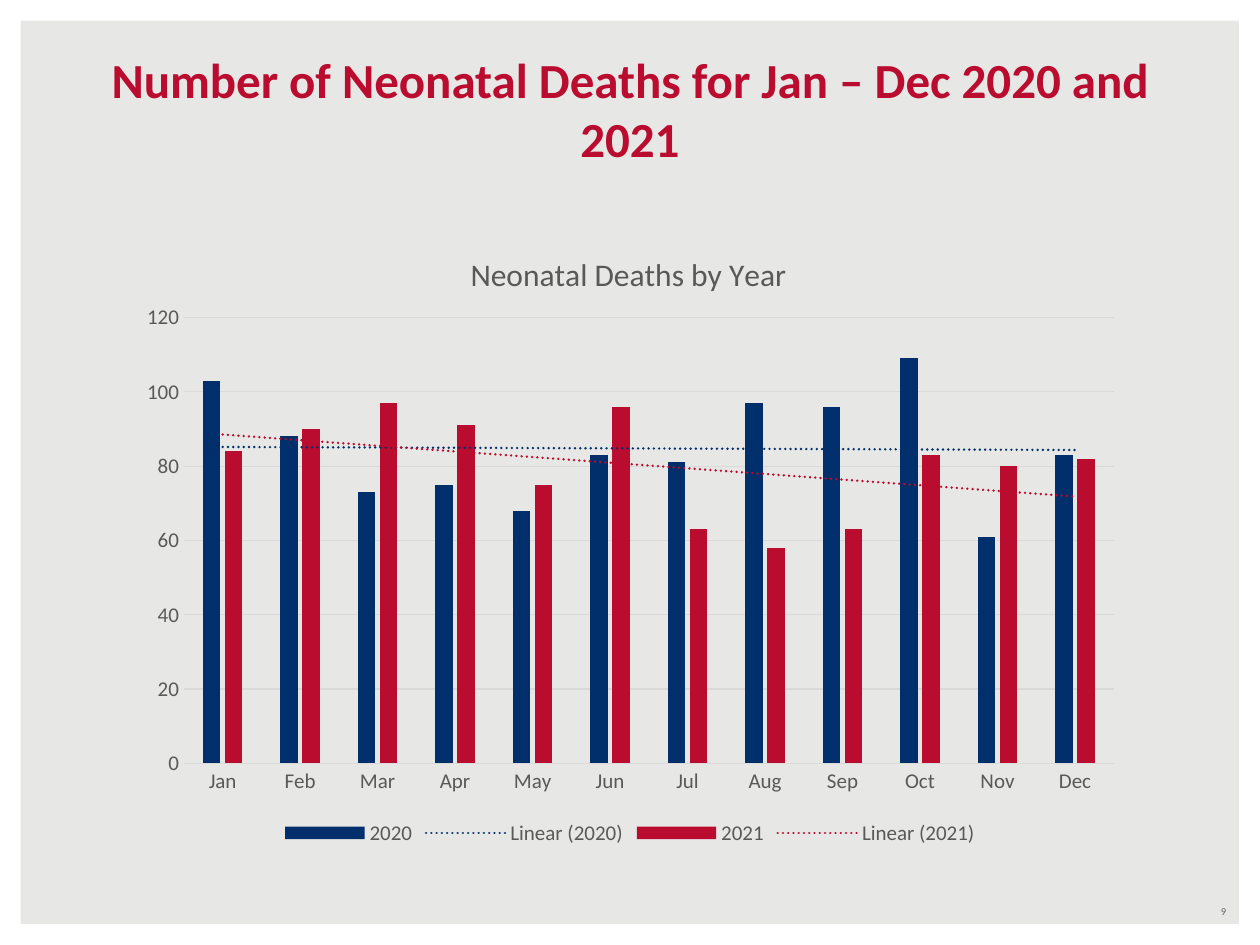
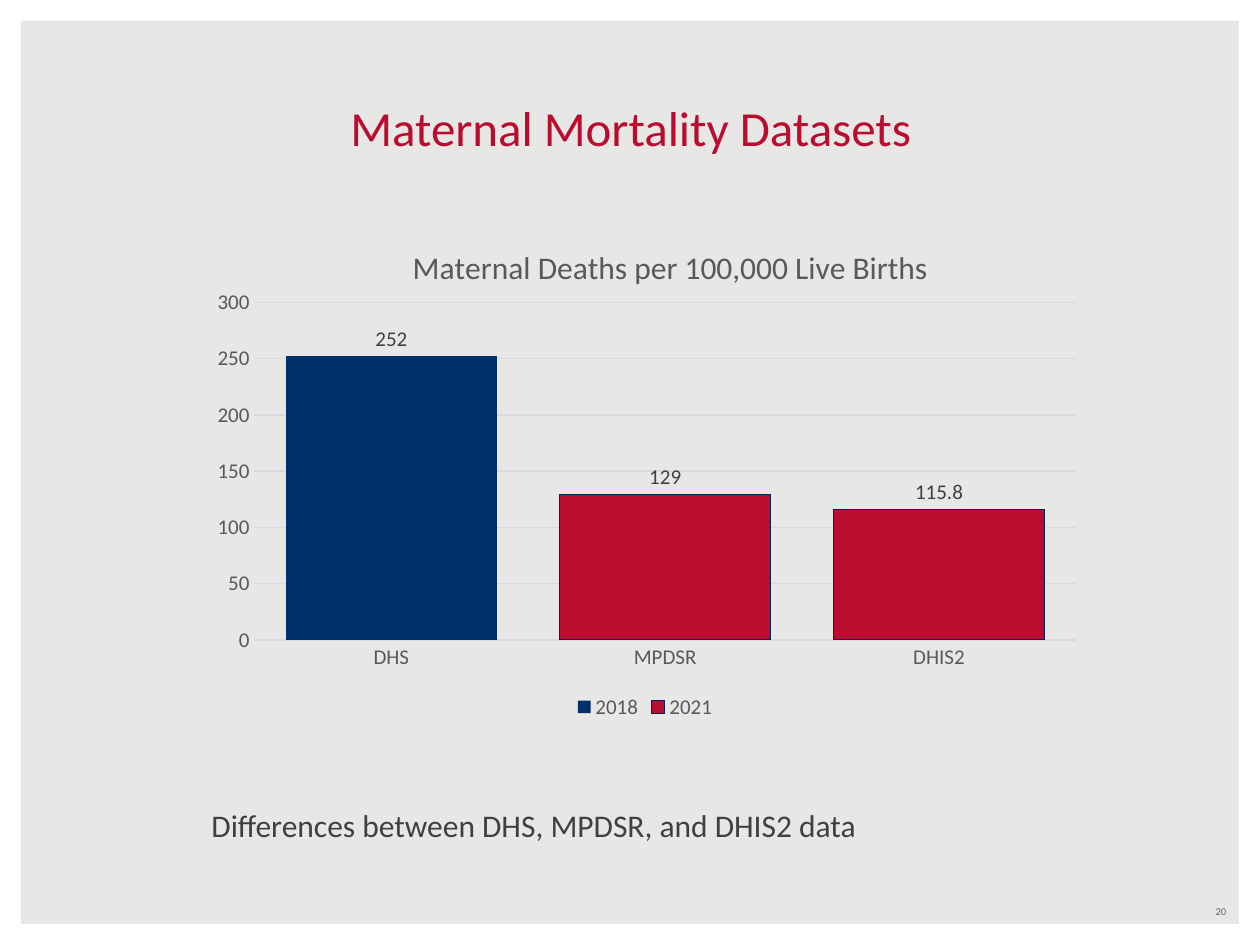
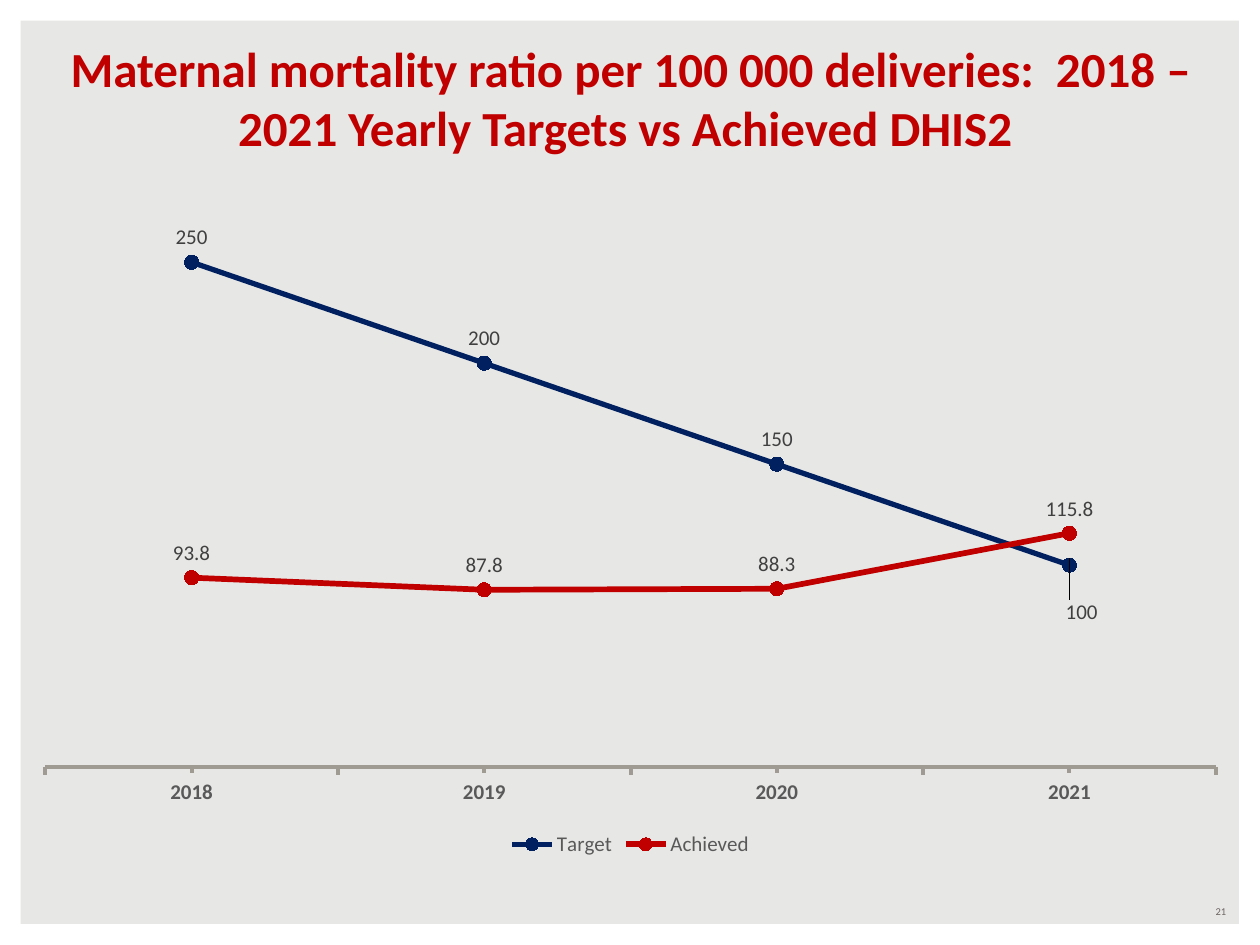
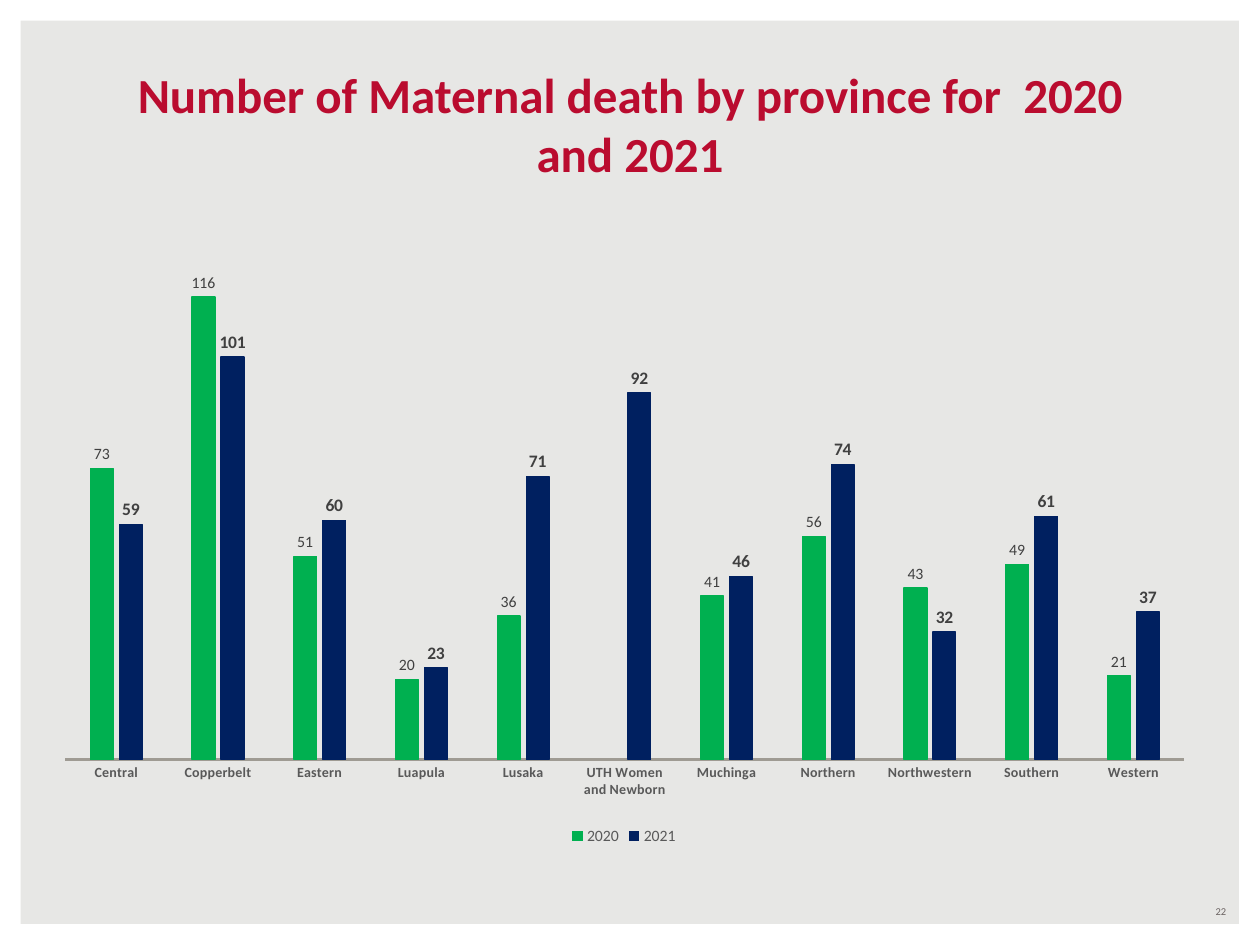
import pptx
import pptx.chart.data
import pptx.dml.color
import pptx.enum.chart
import pptx.enum.shapes
import pptx.enum.text
import pptx.oxml
import pptx.oxml.ns
import pptx.util

PX = 9144  # EMU per px, 100 px to the inch
WIDTH, HEIGHT = 1000, 750
FONT = "Calibri"
PAPER, WHITE, BLACK = "E7E7E5", "FFFFFF", "000000"
CRIMSON, RED = "BA0C2F", "C00000"
BLUE, NAVY, GREEN = "002F6C", "002060", "00B050"
INK, LABEL_GREY, FOOTER_GREY = "404040", "595959", "6C6463"
GRID_GREY, AXIS_GREY = "D9D9D9", "9F9B93"

Align = pptx.enum.text.PP_ALIGN
Anchor = pptx.enum.text.MSO_ANCHOR
ChartType = pptx.enum.chart.XL_CHART_TYPE
Tick = pptx.enum.chart.XL_TICK_MARK
LabelPosition = pptx.enum.chart.XL_LABEL_POSITION


def rgb(colour):
    return pptx.dml.color.RGBColor.from_string(colour)


def set_font(font, size, colour, bold=False):
    font.name, font.size, font.bold = FONT, pptx.util.Pt(size), bold
    font.color.rgb = rgb(colour)


def set_line(line, colour, width):
    line.color.rgb = rgb(colour)
    line.width = pptx.util.Pt(width)


def set_layout(parent, index, modes="", **fractions):
    """Give a chart part a manual layout as its child number index."""
    for former in parent.findall(pptx.oxml.ns.qn("c:layout")):
        parent.remove(former)
    numbers = "".join(f'<c:{name} val="{value:.4f}"/>' for name, value in fractions.items())
    parent.insert(index, pptx.oxml.parse_xml(
        f'<c:layout {pptx.oxml.ns.nsdecls("c")}><c:manualLayout>'
        f'{modes}{numbers}</c:manualLayout></c:layout>'))


class Deck:
    """Holds the shared style and the slide being built."""

    EDGE = '<c:xMode val="edge"/><c:yMode val="edge"/>'

    def __init__(self):
        self.prs = pptx.Presentation()
        self.prs.slide_width, self.prs.slide_height = WIDTH * PX, HEIGHT * PX
        self.layout = self.prs.slide_layouts[5]
        self.framed = False
        background = self.prs.slide_master.background.fill
        background.solid()
        background.fore_color.rgb = rgb(PAPER)

    def box(self, *lengths):
        return [length * PX for length in lengths]

    def add_frame(self):
        """Draw the white border once and move it to the master."""
        frame = self.slide.shapes.add_shape(
            pptx.enum.shapes.MSO_SHAPE.FRAME, *self.box(0, 0, WIDTH, HEIGHT))
        frame.adjustments[0] = 0.022
        frame.shadow.inherit = False
        frame.fill.solid()
        frame.fill.fore_color.rgb = rgb(WHITE)
        frame.line.fill.background()
        self.prs.slide_master.shapes.element.insert(2, frame.element)
        self.framed = True

    def start(self, number, heading, at, colour=CRIMSON, bold=True):
        self.slide = self.prs.slides.add_slide(self.layout)
        if not self.framed:
            self.add_frame()
        title = self.slide.shapes.title
        title.left, title.top, title.width, title.height = self.box(*at)
        self.fill_text(title, heading, 28, colour, bold, Align.CENTER, Anchor.BOTTOM)
        self.text((750, 713, 233, 20), str(number), 6, FOOTER_GREY, Align.RIGHT, Anchor.MIDDLE)

    def fill_text(self, holder, words, size, colour, bold, align, anchor):
        frame = holder.text_frame
        frame.text = words
        frame.word_wrap = True
        frame.auto_size = pptx.enum.text.MSO_AUTO_SIZE.SHAPE_TO_FIT_TEXT
        frame.vertical_anchor = anchor
        frame.paragraphs[0].alignment = align
        set_font(frame.paragraphs[0].runs[0].font, size, colour, bold)

    def text(self, at, words, size, colour, align=Align.LEFT, anchor=Anchor.TOP):
        holder = self.slide.shapes.add_textbox(*self.box(*at))
        self.fill_text(holder, words, size, colour, False, align, anchor)

    def chart(self, kind, at, plot_at, categories, values, maximum, legend_size=12):
        """Add a chart; plot_at is the inner plot area on the slide."""
        data = pptx.chart.data.CategoryChartData()
        data.categories = categories
        for name, numbers in values.items():
            data.add_series(name, numbers)
        chart = self.slide.shapes.add_chart(kind, *self.box(*at), data).chart
        set_font(chart.font, 10, BLACK)
        chart.has_title = False
        chart.has_legend = True
        chart.legend.position = pptx.enum.chart.XL_LEGEND_POSITION.BOTTOM
        chart.legend.include_in_layout = False
        set_font(chart.legend.font, legend_size, LABEL_GREY)
        chart.plots[0].vary_by_categories = False
        chart.value_axis.minimum_scale, chart.value_axis.maximum_scale = 0, maximum
        left, top, width, height = at
        set_layout(chart.element.xpath("//c:plotArea")[0], 0,
                   '<c:layoutTarget val="inner"/>' + self.EDGE,
                   x=(plot_at[0] - left) / width, y=(plot_at[1] - top) / height,
                   w=plot_at[2] / width, h=plot_at[3] / height)
        return chart

    def chart_title(self, chart, words, at, chart_at):
        frame = chart.chart_title.text_frame
        frame.text = words
        set_font(frame.paragraphs[0].runs[0].font, 18, LABEL_GREY)
        left, top, width, height = chart_at
        set_layout(chart.element.xpath("//c:title")[0], 1, self.EDGE,
                   x=(at[0] - left) / width, y=(at[1] - top) / height)

    def category_axis(self, chart, colour, width, size=12, bold=False, ticks=Tick.NONE):
        axis = chart.category_axis
        axis.major_tick_mark = axis.minor_tick_mark = ticks
        axis.has_major_gridlines = False
        set_line(axis.format.line, colour, width)
        set_font(axis.tick_labels.font, size, LABEL_GREY, bold)

    def value_axis(self, chart, step, grid_width):
        axis = chart.value_axis
        axis.major_unit = step
        axis.major_tick_mark = axis.minor_tick_mark = Tick.NONE
        axis.format.line.fill.background()
        axis.has_major_gridlines = True
        set_line(axis.major_gridlines.format.line, GRID_GREY, grid_width)
        set_font(axis.tick_labels.font, 12, LABEL_GREY)

    def hide_value_axis(self, chart):
        chart.value_axis.has_major_gridlines = False
        chart.value_axis.visible = False

    def columns(self, chart, colours, gap, overlap):
        chart.plots[0].gap_width, chart.plots[0].overlap = gap, overlap
        for series, colour in zip(chart.series, colours):
            series.invert_if_negative = False
            series.format.fill.solid()
            series.format.fill.fore_color.rgb = rgb(colour)

    def lines(self, chart, styles):
        for series, (colour, width) in zip(chart.series, styles):
            series.smooth = False
            set_line(series.format.line, colour, width)
            marker = series.marker
            marker.style, marker.size = pptx.enum.chart.XL_MARKER_STYLE.CIRCLE, 8
            marker.format.fill.solid()
            marker.format.fill.fore_color.rgb = rgb(colour)
            marker.format.line.color.rgb = rgb(colour)

    def value_labels(self, series, position, size=12, bold=False):
        labels = series.data_labels
        labels.show_value = True
        labels.position = position
        set_font(labels.font, size, INK, bold)

    def shift_label(self, chart, series, point, x, y):
        """Move one label from its usual place by fractions of the chart."""
        label = series.points[point].data_label
        label.position = LabelPosition.ABOVE
        set_font(label.font, 12, INK)
        set_layout(chart.element.xpath("//c:dLbl")[0], 1, x=x, y=y)

    def trend_lines(self, chart, colours):
        for values, colour in zip(chart.element.xpath("//c:ser"), colours):
            trend = pptx.oxml.parse_xml(
                f'<c:trendline {pptx.oxml.ns.nsdecls("c", "a")}><c:spPr>'
                f'<a:ln w="19050" cap="rnd"><a:solidFill><a:srgbClr val="{colour}"/></a:solidFill>'
                '<a:prstDash val="sysDot"/></a:ln></c:spPr><c:trendlineType val="linear"/>'
                '<c:dispRSqr val="0"/><c:dispEq val="0"/></c:trendline>')
            values.find(pptx.oxml.ns.qn("c:cat")).addprevious(trend)


def neonatal_deaths(deck):
    deck.start(9, "Number of Neonatal Deaths for Jan – Dec 2020 and 2021", (46, 34, 908, 104))
    at = (100, 175, 800, 500)
    months = "Jan Feb Mar Apr May Jun Jul Aug Sep Oct Nov Dec".split()
    deaths = {
        "2020": (103, 88, 73, 75, 68, 83, 81, 97, 96, 109, 61, 83),
        "2021": (84, 90, 97, 91, 75, 96, 63, 58, 63, 83, 80, 82),
    }
    chart = deck.chart(ChartType.COLUMN_CLUSTERED, at, (146, 252, 738, 354), months, deaths, 120)
    deck.chart_title(chart, "Neonatal Deaths by Year", (369, 196), at)
    deck.category_axis(chart, GRID_GREY, 0.75)
    deck.value_axis(chart, 20, 0.75)
    deck.columns(chart, (BLUE, CRIMSON), 219, -27)
    deck.trend_lines(chart, (BLUE, CRIMSON))


def mortality_datasets(deck):
    deck.start(20, "Maternal Mortality Datasets", (17, 72, 967, 57), bold=False)
    at = (158, 167, 708, 408)
    ratios = {"2018": (252, None, None), "2021": (None, 129, 115.8)}
    chart = deck.chart(ChartType.COLUMN_CLUSTERED, at, (202, 240, 652, 268),
                       ("DHS", "MPDSR", "DHIS2"), ratios, 300)
    deck.chart_title(chart, "Maternal Deaths per 100,000 Live Births", (323, 190), at)
    deck.category_axis(chart, GRID_GREY, 0.75)
    deck.value_axis(chart, 50, 0)
    deck.columns(chart, (BLUE, CRIMSON), 30, 100)
    set_line(chart.series[1].format.line, NAVY, 0)
    for series in chart.series:
        deck.value_labels(series, LabelPosition.OUTSIDE_END)
    deck.text((158, 635, 567, 40), "Differences between DHS, MPDSR, and DHIS2 data", 18, INK)


def targets_achieved(deck):
    deck.start(21, "Maternal mortality ratio per 100 000 deliveries:  2018 – 2021 "
                   "Yearly Targets vs Achieved DHIS2 ", (17, 21, 967, 108), RED)
    ratios = {"Target": (250, 200, 150, 100), "Achieved": (93.8, 87.8, 88.3, 115.8)}
    chart = deck.chart(ChartType.LINE_MARKERS, (17, 117, 967, 567), (36, 128, 929, 481),
                       ("2018", "2019", "2020", "2021"), ratios, 300)
    deck.category_axis(chart, AXIS_GREY, 2.25, bold=True, ticks=Tick.OUTSIDE)
    deck.hide_value_axis(chart)
    deck.lines(chart, ((NAVY, 3), (RED, 3.25)))
    for series in chart.series:
        deck.value_labels(series, LabelPosition.ABOVE)
    deck.shift_label(chart, chart.series[0], 3, 0.01, 0.1)


def deaths_by_province(deck):
    deck.start(22, "Number of Maternal death by province for  2020 and 2021", (75, 46, 850, 104))
    provinces = ("Central", "Copperbelt", "Eastern", "Luapula", "Lusaka", "UTH Women and Newborn",
                 "Muchinga", "Northern", "Northwestern", "Southern", "Western")
    deaths = {
        "2020": (73, 116, 51, 20, 36, None, 41, 56, 43, 49, 21),
        "2021": (59, 101, 60, 23, 71, 92, 46, 74, 32, 61, 37),
    }
    chart = deck.chart(ChartType.COLUMN_CLUSTERED, (33, 150, 925, 525), (52, 160, 888, 443),
                       provinces, deaths, 140, legend_size=9)
    deck.category_axis(chart, AXIS_GREY, 2, size=8, bold=True)
    deck.hide_value_axis(chart)
    colours = (GREEN, NAVY)
    deck.columns(chart, colours, 219, -27)
    for series, colour, size, bold in zip(chart.series, colours, (9, 10), (False, True)):
        set_line(series.format.line, colour, 0.75)
        deck.value_labels(series, LabelPosition.OUTSIDE_END, size, bold)


def main():
    deck = Deck()
    for build in (neonatal_deaths, mortality_datasets, targets_achieved, deaths_by_province):
        build(deck)
    deck.prs.save("out.pptx")


if __name__ == "__main__":
    main()
